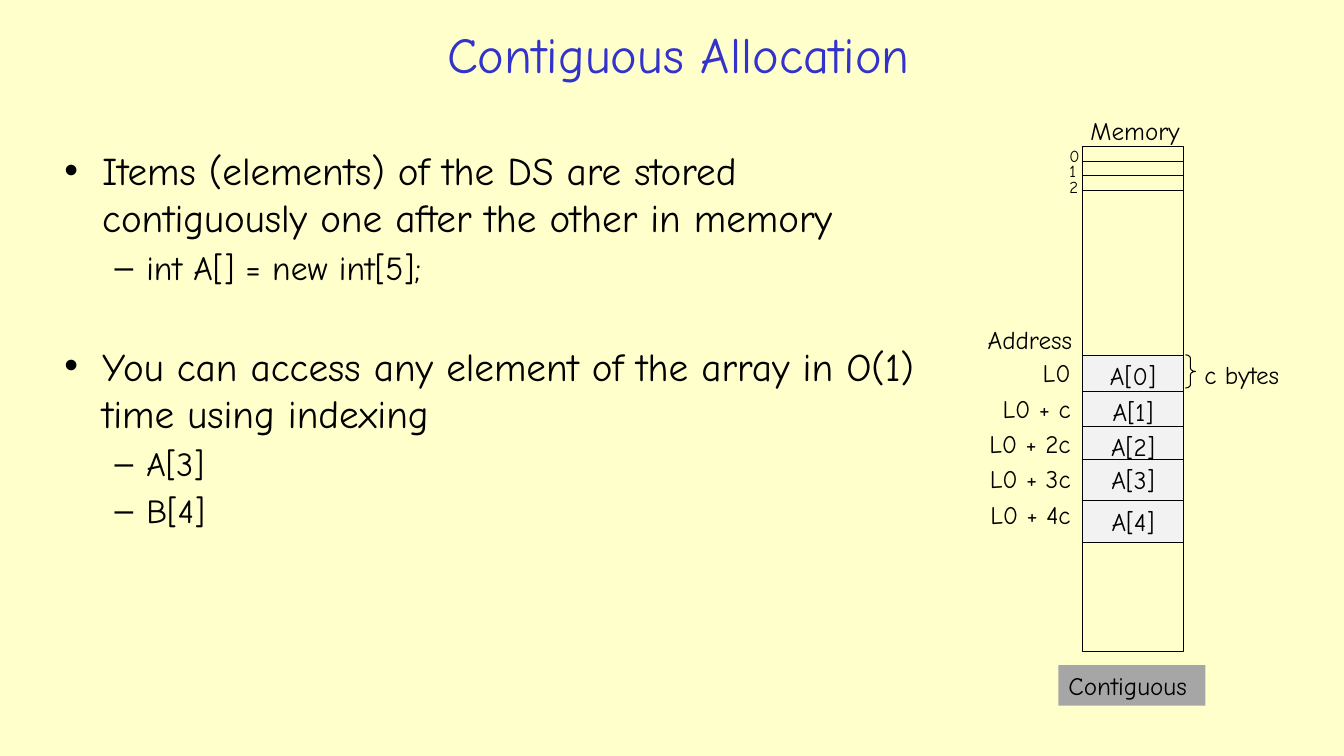
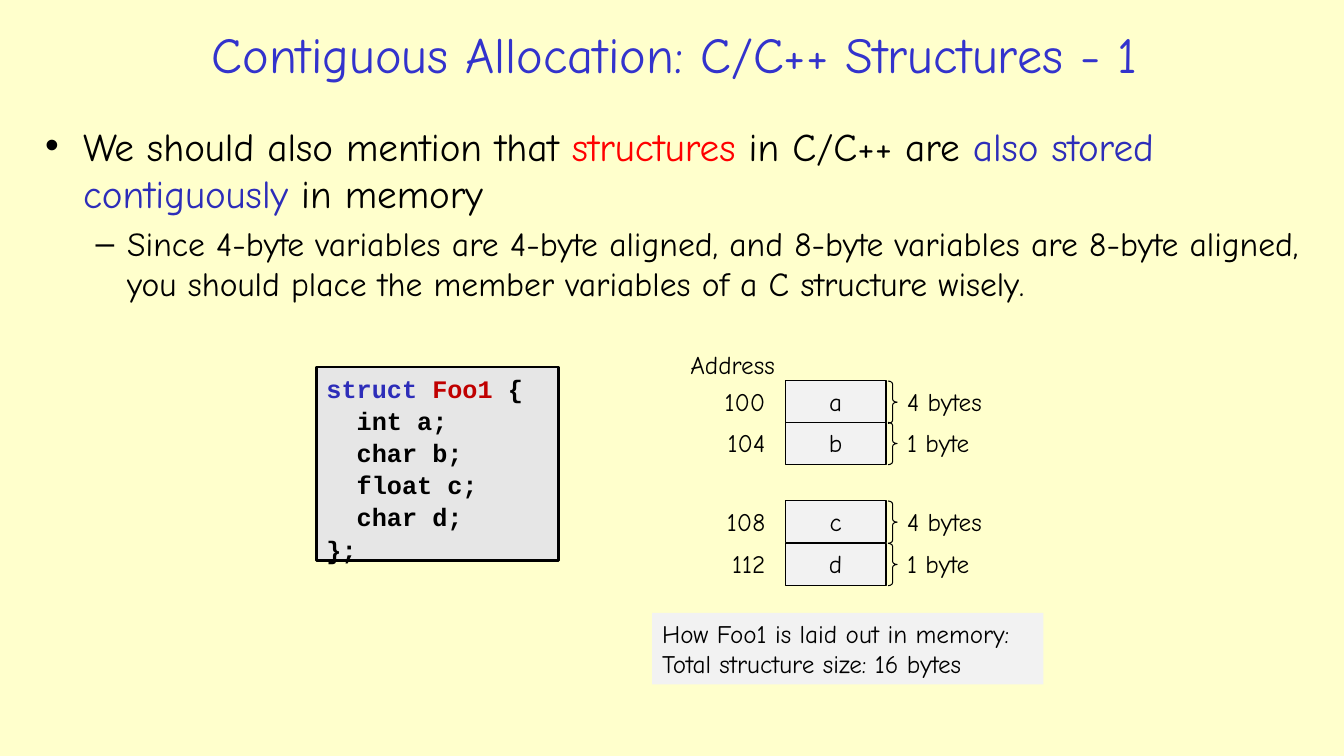
from dataclasses import dataclass
from typing import NamedTuple

from lxml import etree
from pptx import Presentation
from pptx.dml.color import RGBColor
from pptx.enum.shapes import MSO_CONNECTOR, MSO_SHAPE
from pptx.enum.text import MSO_ANCHOR, MSO_AUTO_SIZE, PP_ALIGN
from pptx.oxml.ns import qn
from pptx.util import Inches, Pt

LEFT, CENTER, RIGHT = PP_ALIGN.LEFT, PP_ALIGN.CENTER, PP_ALIGN.RIGHT
TOP, MIDDLE = MSO_ANCHOR.TOP, MSO_ANCHOR.MIDDLE
RECTANGLE, BRACE = MSO_SHAPE.RECTANGLE, MSO_SHAPE.RIGHT_BRACE
STRAIGHT, NO_AUTOFIT = MSO_CONNECTOR.STRAIGHT, MSO_AUTO_SIZE.NONE

CREAM = RGBColor(0xFF, 0xFF, 0xCC)
TITLE_BLUE = RGBColor(0x33, 0x33, 0xCC)
BLUE = RGBColor(0x2D, 0x2D, 0xB9)
RED = RGBColor(0xFF, 0x00, 0x00)
DARK_RED = RGBColor(0xC0, 0x00, 0x00)
BLACK = RGBColor(0x00, 0x00, 0x00)
CELL_GREY = RGBColor(0xF2, 0xF2, 0xF2)
CODE_GREY = RGBColor(0xE6, 0xE6, 0xE6)
CAPTION_GREY = RGBColor(0xA6, 0xA6, 0xA6)

FACE, CODE_FACE = "Comic Neue", "Courier New"
TITLE_SIZE, LABEL_SIZE, INDEX_SIZE = 36, 18, 12
THIN, THICK = 0.75, 2

# The grid has ten columns and ten rows to the inch.
GRID = Inches(0.1)
SLIDE_COLUMNS, SLIDE_ROWS = 133.33, 75
CELL_COLUMNS, CELL_ROWS, LABEL_ROWS = 10, 4.15, 4


class Area(NamedTuple):
    column: float
    row: float
    columns: float
    rows: float

    def lengths(self) -> list[int]:
        return [round(value * GRID) for value in self]


class Span(NamedTuple):
    text: str
    color: RGBColor = BLACK


class Level(NamedTuple):
    mark: str
    size: int
    margin: float
    hanging: float
    space_before: float


LEVELS = (Level("•", 28, 3.75, 3.75, 5.6), Level("–", 24, 8.13, 3.13, 4.8))


@dataclass(frozen=True)
class Bullet:
    spans: tuple[Span, ...]
    level: int = 0
    extra_space: float = 0


@dataclass(frozen=True)
class Member:
    name: str
    address: str
    size: str
    row: float


ARRAY_BULLETS = (
    Bullet((Span("Items (elements) of the DS are stored contiguously "
                 "one after the other in memory"),)),
    Bullet((Span("int A[] = new int[5];"),), 1),
    Bullet((Span("You can access any element of the array in O(1) "
                 "time using indexing"),), extra_space=33.4),
    Bullet((Span("A[3]"),), 1),
    Bullet((Span("B[4]"),), 1),
)
ARRAY_ROWS = (35.3, 38.8, 42.3, 45.6, 49.7)
ARRAY_ADDRESSES = ("L0", "L0 + c", "L0 + 2c", "L0 + 3c", "L0 + 4c")

STRUCT_BULLETS = (
    Bullet((Span("We should also mention that "), Span("structures", RED),
            Span(" in C/C++ are "), Span("also stored contiguously", BLUE),
            Span(" in memory"))),
    Bullet((Span("Since 4-byte variables are 4-byte aligned, and 8-byte "
                 "variables are 8-byte aligned, you should place the member "
                 "variables of a C structure wisely."),), 1),
)
STRUCT_CODE = (
    (Span("struct ", BLUE), Span("Foo1 ", DARK_RED), Span("{")),
    (Span("  int a;"),),
    (Span("  char b;"),),
    (Span("  float c;"),),
    (Span("  char d;"),),
    (Span("};"),),
)
MEMBERS = (
    Member("a", "100", "4 bytes", 37.8),
    Member("b", "104", "1 byte", 41.9),
    Member("c", "108", "4 bytes", 49.7),
    Member("d", "112", "1 byte", 53.9),
)


def write_spans(para, spans, size: float, face=FACE, bold=False) -> None:
    for span in spans:
        run = para.add_run()
        run.text = span.text
        run.font.name, run.font.size, run.font.bold = face, Pt(size), bold
        run.font.color.rgb = span.color


def write_lines(frame, lines, size=LABEL_SIZE, align=LEFT, face=FACE,
                bold=False, spacing=None) -> None:
    """Write one paragraph for each sequence of spans."""
    frame.word_wrap = True
    frame.vertical_anchor = TOP
    for index, spans in enumerate(lines):
        para = frame.add_paragraph() if index else frame.paragraphs[0]
        para.alignment = align
        para.line_spacing = spacing
        write_spans(para, spans, size, face, bold)


def new_slide(deck, title: str, area: Area):
    slide = deck.slides.add_slide(deck.slide_layouts[5])
    box = slide.shapes.title
    box.left, box.top, box.width, box.height = area.lengths()
    frame = box.text_frame
    frame.auto_size, frame.vertical_anchor = NO_AUTOFIT, MIDDLE
    para = frame.paragraphs[0]
    para.alignment = CENTER
    write_spans(para, [Span(title, TITLE_BLUE)], TITLE_SIZE)
    return slide


def add_bullets(slide, area: Area, bullets: tuple[Bullet, ...]) -> None:
    frame = slide.shapes.add_textbox(*area.lengths()).text_frame
    frame.word_wrap = True
    for index, bullet in enumerate(bullets):
        para = frame.add_paragraph() if index else frame.paragraphs[0]
        level = LEVELS[bullet.level]
        para.level = bullet.level
        if index:
            para.space_before = Pt(level.space_before + bullet.extra_space)
        properties = para._p.get_or_add_pPr()
        properties.set("marL", str(round(level.margin * GRID)))
        properties.set("indent", str(-round(level.hanging * GRID)))
        etree.SubElement(properties, qn("a:buFont"), typeface="Arial")
        etree.SubElement(properties, qn("a:buChar"), char=level.mark)
        write_spans(para, bullet.spans, level.size)


def add_label(slide, area: Area, text: str, size=LABEL_SIZE, align=LEFT) -> None:
    box = slide.shapes.add_textbox(*area.lengths())
    write_lines(box.text_frame, [[Span(text)]], size, align)


def add_outline(slide, area: Area, kind=RECTANGLE, fill=None, line_width=THIN):
    shape = slide.shapes.add_shape(kind, *area.lengths())
    shape.shadow.inherit = False
    if fill is None:
        shape.fill.background()
    else:
        shape.fill.solid()
        shape.fill.fore_color.rgb = fill
    if line_width:
        shape.line.color.rgb = BLACK
        shape.line.width = Pt(line_width)
    else:
        shape.line.fill.background()
    return shape


def add_cell(slide, column: float, row: float, text: str) -> None:
    area = Area(column, row, CELL_COLUMNS, CELL_ROWS)
    cell = add_outline(slide, area, fill=CELL_GREY)
    write_lines(cell.text_frame, [[Span(text)]], align=CENTER)


def add_brace(slide, area: Area) -> None:
    brace = add_outline(slide, area, BRACE)
    brace.adjustments[0] = 0.33


def add_caption(slide, area: Area, fill: RGBColor, *lines: str) -> None:
    caption = add_outline(slide, area, fill=fill, line_width=0)
    write_lines(caption.text_frame, [[Span(line)] for line in lines])


def add_divider(slide, column: float, row: float, columns: float) -> None:
    left, top, width, _ = Area(column, row, columns, 0).lengths()
    divider = slide.shapes.add_connector(STRAIGHT, left, top, left + width, top)
    divider.line.color.rgb = BLACK
    divider.line.width = Pt(THIN)
    etree.SubElement(divider._element.spPr, qn("a:effectLst"))


def build_array_slide(deck) -> None:
    slide = new_slide(deck, "Contiguous Allocation", Area(19.7, 1.5, 95.2, 7.6))
    memory = 107.4
    add_outline(slide, Area(memory, 14.5, CELL_COLUMNS, 50.1))
    add_label(slide, Area(107.2, 10.9, 13, LABEL_ROWS), "Memory")
    for index in range(3):
        add_divider(slide, memory, 16 + 1.45 * index, CELL_COLUMNS)
        add_label(slide, Area(105.1, 14 + 1.5 * index, 4, 3), str(index), INDEX_SIZE)

    add_label(slide, Area(97, 31.7, 12, LABEL_ROWS), "Address")
    for index, (row, address) in enumerate(zip(ARRAY_ROWS, ARRAY_ADDRESSES)):
        add_cell(slide, memory, row, f"A[{index}]")
        add_label(slide, Area(95.2, 35 + 3.5 * index, 12, LABEL_ROWS), address,
                  align=RIGHT)
    add_brace(slide, Area(117.6, 35.2, 1, 3.3))
    add_label(slide, Area(118.5, 35.2, 12, LABEL_ROWS), "c bytes")
    add_caption(slide, Area(105, 66, 14.6, LABEL_ROWS), CAPTION_GREY, "Contiguous")
    add_bullets(slide, Area(5.4, 14, 89, 58.4), ARRAY_BULLETS)


def build_struct_slide(deck) -> None:
    slide = new_slide(deck, "Contiguous Allocation: C/C++ Structures - 1",
                      Area(5.5, 1.5, 122.8, 7.6))
    add_bullets(slide, Area(3.5, 11.6, 126.5, 24.2), STRUCT_BULLETS)
    code = add_outline(slide, Area(31.4, 36.4, 24, 19.2), fill=CODE_GREY,
                       line_width=THICK)
    write_lines(code.text_frame, STRUCT_CODE, face=CODE_FACE, bold=True,
                spacing=1.06)

    add_label(slide, Area(67.5, 34.2, 12, LABEL_ROWS), "Address")
    for member in MEMBERS:
        add_cell(slide, 77.9, member.row, member.name)
        add_label(slide, Area(68.9, member.row, 8, LABEL_ROWS), member.address,
                  align=RIGHT)
        add_brace(slide, Area(88.1, member.row, 0.9, 4.2))
        add_label(slide, Area(89, member.row, 12, LABEL_ROWS), member.size)
    add_caption(slide, Area(64.7, 60.8, 38.8, 7.1), CELL_GREY,
                "How Foo1 is laid out in memory:",
                "Total structure size: 16 bytes")


def main() -> None:
    deck = Presentation()
    deck.slide_width = round(SLIDE_COLUMNS * GRID)
    deck.slide_height = SLIDE_ROWS * GRID
    background = deck.slide_master.background.fill
    background.solid()
    background.fore_color.rgb = CREAM
    build_array_slide(deck)
    build_struct_slide(deck)
    deck.save("out.pptx")


if __name__ == "__main__":
    main()
